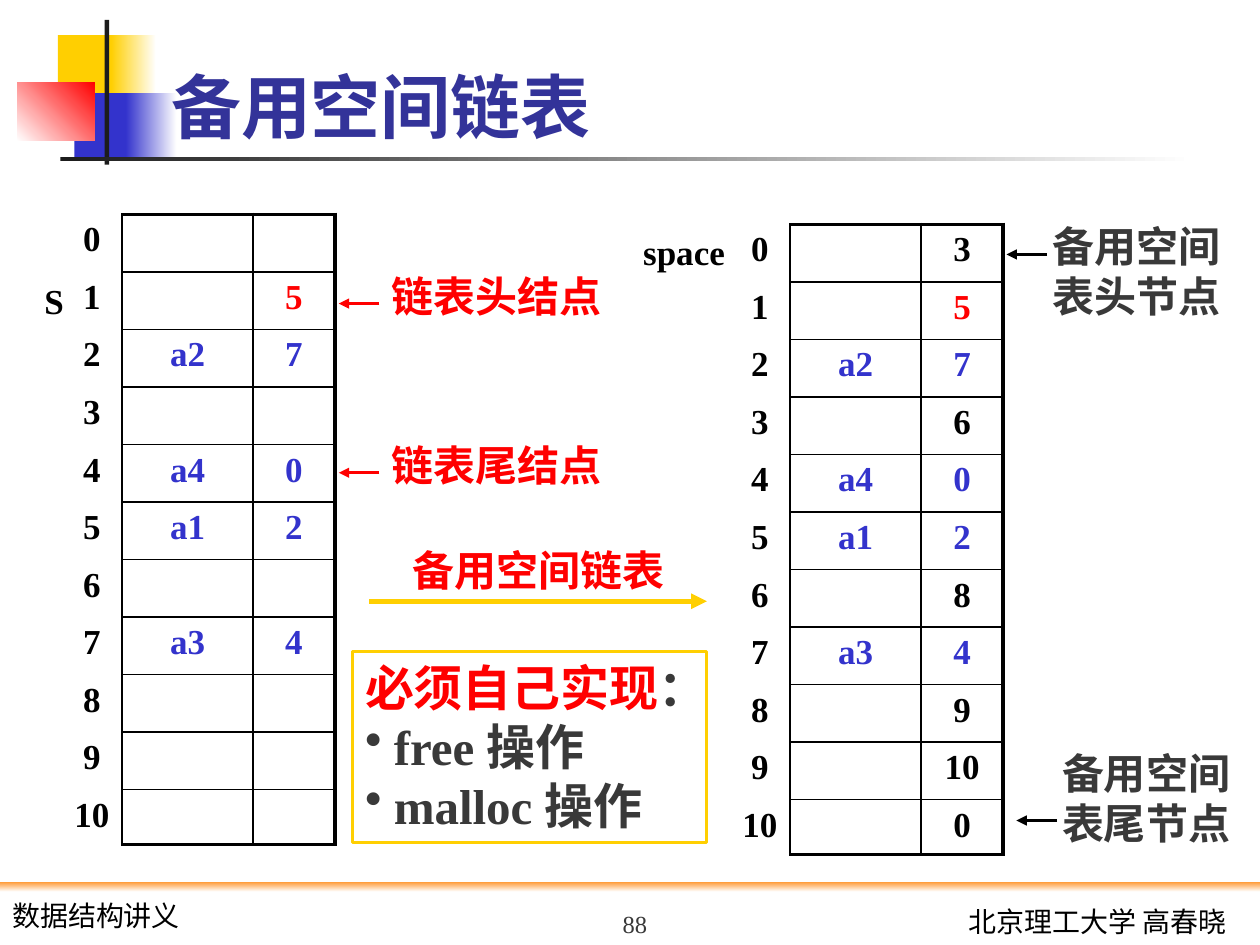
from lxml.etree import SubElement
from pptx import Presentation
from pptx.dml.color import RGBColor
from pptx.enum.shapes import MSO_CONNECTOR, MSO_SHAPE
from pptx.enum.text import MSO_ANCHOR, PP_ALIGN
from pptx.oxml.ns import qn
from pptx.util import Cm, Pt

COLORS = {
    "black": "000000", "ink": "1C1C1C", "gray": "393939", "white": "FFFFFF",
    "gold": "FFCF01", "blue": "3333CC", "navy": "333399",
    "red": "FF0000", "orange": "FF9933",
}
SERIF = "Times New Roman"
ROW_COUNT = 11
LIST_HEAD = 1
LIST_DATA = {2: "a2", 4: "a4", 5: "a1", 7: "a3"}
LIST_LINKS = {1: "5", 2: "7", 4: "0", 5: "2", 7: "4"}
SPARE_LINKS = {0: "3", 3: "6", 6: "8", 8: "9", 9: "10", 10: "0"}


def color(name):
    return RGBColor.from_string(COLORS[name])


def lengths(*values):
    return [Cm(value) for value in values]


def style_font(font, size, color_name, bold=True, name=SERIF):
    font.size = Pt(size)
    font.name = name
    font.bold = bold
    font.color.rgb = color(color_name)


def add_block(slide, box, start, end=None, angle=0):
    shape = slide.shapes.add_shape(MSO_SHAPE.RECTANGLE, *lengths(*box))
    shape.shadow.inherit = False
    shape.line.fill.background()
    if end is None:
        shape.fill.solid()
        shape.fill.fore_color.rgb = color(start)
        return
    shape.fill.gradient()
    shape.fill.gradient_angle = angle
    for stop, name in zip(shape.fill.gradient_stops, (start, end)):
        stop.color.rgb = color(name)


def add_text(slide, box, text, size, color_name, bold=True, name=SERIF,
             align=PP_ALIGN.LEFT, anchor=MSO_ANCHOR.TOP, wrap=True):
    text_frame = slide.shapes.add_textbox(*lengths(*box)).text_frame
    text_frame.word_wrap = wrap
    text_frame.vertical_anchor = anchor
    text_frame.text = text
    for paragraph in text_frame.paragraphs:
        paragraph.alignment = align
        for run in paragraph.runs:
            style_font(run.font, size, color_name, bold, name)


def add_arrow(slide, start_x, end_x, y, color_name, width=1.5):
    connector = slide.shapes.add_connector(
        MSO_CONNECTOR.STRAIGHT, *lengths(start_x, y, end_x, y))
    connector.line.color.rgb = color(color_name)
    connector.line.width = Pt(width)
    SubElement(connector.line._get_or_add_ln(), qn("a:tailEnd"), type="triangle")
    SubElement(connector._element.spPr, qn("a:effectLst"))


def set_borders(cell, widths):
    properties = cell._tc.get_or_add_tcPr()
    for side in "LRTB":
        if side in widths:
            line = SubElement(properties, qn(f"a:ln{side}"), w=str(Pt(widths[side])))
            fill = SubElement(line, qn("a:solidFill"))
            SubElement(fill, qn("a:srgbClr"), val=COLORS["black"])


def cell_borders(row, column):
    if column == 0:
        return {"R": 1}
    return {
        "L": 1,
        "R": 2.25 if column == 2 else 1,
        "T": 2.25 if row == 0 else 1,
        "B": 2.25 if row == ROW_COUNT - 1 else 1,
    }


def cell_color(row, column):
    if column == 0:
        return "black"
    if row == LIST_HEAD:
        return "red"
    return "blue" if row in LIST_DATA else "black"


def add_memory_table(slide, left, top, links):
    table = slide.shapes.add_table(
        ROW_COUNT, 3, *lengths(left, top, 5.51, 12.66)).table
    table.first_row = False
    table.horz_banding = False
    for column, width in zip(table.columns, (1.22, 2.64, 1.65)):
        column.width = Cm(width)
    for index, row in enumerate(table.rows):
        row.height = Cm(1.06 if index == ROW_COUNT - 1 else 1.16)
        texts = (str(index), LIST_DATA.get(index, ""), links.get(index, ""))
        for column, text in enumerate(texts):
            cell = table.cell(index, column)
            set_borders(cell, cell_borders(index, column))
            cell.fill.background()
            cell.margin_left = cell.margin_right = 0
            cell.text = text
            paragraph = cell.text_frame.paragraphs[0]
            paragraph.alignment = PP_ALIGN.CENTER
            style_font(paragraph.font, 20, cell_color(index, column))
            for run in paragraph.runs:
                style_font(run.font, 20, cell_color(index, column))


def add_bullet(paragraph):
    properties = paragraph._p.get_or_add_pPr()
    properties.set("marL", str(Cm(0.58)))
    properties.set("indent", str(-Cm(0.58)))
    SubElement(properties, qn("a:buChar"), char="•")


def add_task_box(slide):
    shape = slide.shapes.add_shape(
        MSO_SHAPE.RECTANGLE, *lengths(7.11, 13.13, 7.14, 3.86))
    shape.shadow.inherit = False
    shape.fill.background()
    shape.line.color.rgb = color("gold")
    shape.line.width = Pt(1.5)
    text_frame = shape.text_frame
    text_frame.word_wrap = True
    text_frame.vertical_anchor = MSO_ANCHOR.TOP
    text_frame.text = "必须自己实现\nfree 操作\nmalloc 操作"
    heading, *tasks = text_frame.paragraphs
    heading.add_run().text = "："
    for paragraph in tasks:
        add_bullet(paragraph)
    for paragraph in text_frame.paragraphs:
        paragraph.alignment = PP_ALIGN.LEFT
        for run in paragraph.runs:
            style_font(run.font, 28, "gray")
    heading.runs[0].font.color.rgb = color("red")


def add_decoration(slide):
    add_block(slide, (1.17, 0.71, 1.22, 1.32), "gold")
    add_block(slide, (2.24, 0.71, 0.91, 1.32), "gold", "white")
    add_block(slide, (1.5, 1.88, 1.17, 1.32), "blue")
    add_block(slide, (2.54, 1.88, 1.02, 1.32), "blue", "white")
    add_block(slide, (0.35, 1.66, 1.56, 1.18), "white", "red", 45)
    add_block(slide, (2.11, 0.4, 0.09, 2.92), "ink")
    add_block(slide, (1.22, 3.16, 22.86, 0.08), "ink", "white")
    add_block(slide, (0, 17.78, 25.4, 0.2), "orange", "white", 270)


def add_footer(slide):
    add_text(slide, (18.62, 18.11, 6.35, 0.94), "北京理工大学 高春晓", 16, "black",
             bold=False, name="Lato", align=PP_ALIGN.RIGHT)
    add_text(slide, (0, 17.98, 4.45, 0.94), "数据结构讲义", 16, "black",
             bold=False, name="Lato")
    add_text(slide, (10.16, 17.78, 5.28, 1.27), "88", 14, "gray", bold=False,
             align=PP_ALIGN.CENTER, anchor=MSO_ANCHOR.BOTTOM)


def main():
    presentation = Presentation()
    presentation.slide_width = Cm(25.4)
    presentation.slide_height = Cm(19.05)
    slide = presentation.slides.add_slide(presentation.slide_layouts[6])

    add_decoration(slide)
    add_footer(slide)
    add_text(slide, (3.2, 0.33, 21.64, 2.77), "备用空间链表", 40, "navy",
             anchor=MSO_ANCHOR.BOTTOM)

    add_memory_table(slide, 1.24, 4.32, LIST_LINKS)
    add_memory_table(slide, 14.71, 4.52, LIST_LINKS | SPARE_LINKS)
    for text, left, top in (("space", 12.7, 4.52), ("S", 0, 5.51)):
        add_text(slide, (left, top, 2.18, 1.09), text, 20, "black",
                 align=PP_ALIGN.CENTER)

    for text, y in (("链表头结点", 6.12), ("链表尾结点", 9.53)):
        add_arrow(slide, 7.65, 6.83, y, "red")
        add_text(slide, (7.65, y - 0.79, 4.8, 1.3), text, 24, "red", wrap=False)

    add_task_box(slide)
    add_arrow(slide, 7.44, 14.25, 12.12, "gold", 3)
    add_text(slide, (8.03, 10.85, 5.64, 1.27), "备用空间链表", 24, "red",
             align=PP_ALIGN.CENTER)

    for text, left, top, y in (("备用空间\n表头节点", 20.96, 4.32, 5.13),
                               ("备用空间\n表尾节点", 21.16, 14.94, 16.54)):
        add_arrow(slide, left + 0.15, left - 0.67, y, "black")
        add_text(slide, (left, top, 3.96, 2.31), text, 24, "gray", wrap=False)

    presentation.save("out.pptx")


if __name__ == "__main__":
    main()
